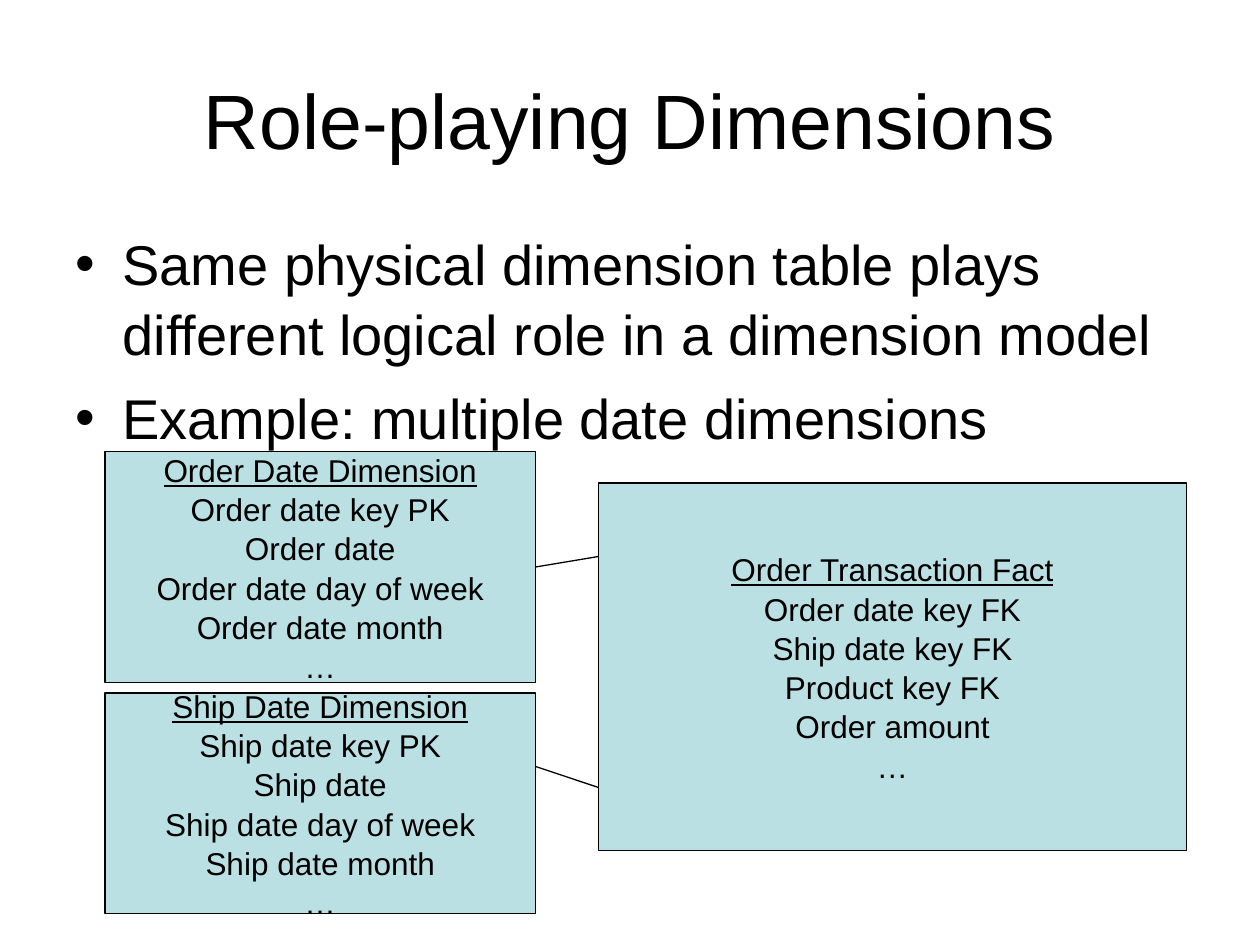
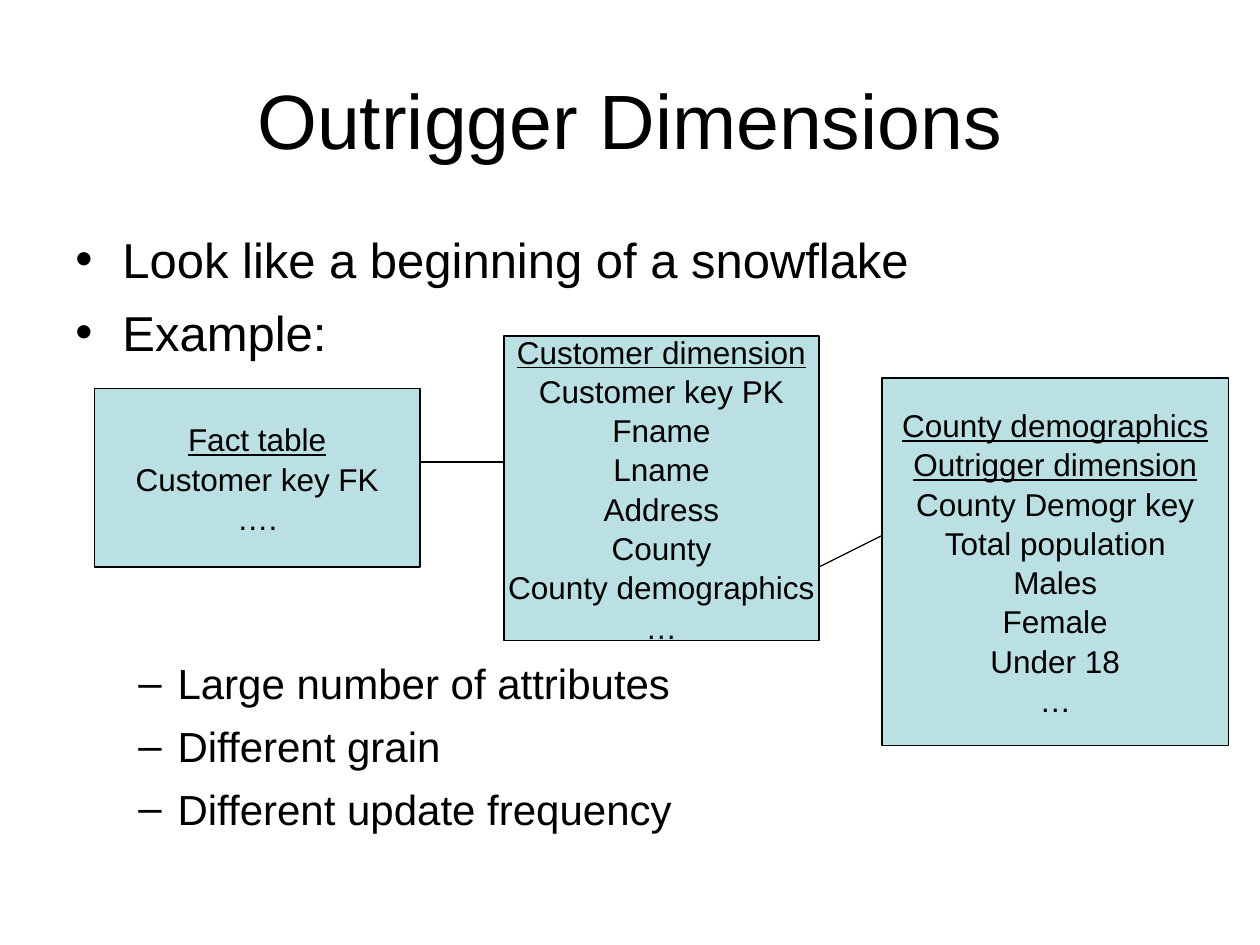
"""Build two slides on role-playing and outrigger dimensions."""
from lxml.etree import SubElement
from pptx import Presentation
from pptx.dml.color import RGBColor as Rgb
from pptx.enum.shapes import MSO_CONNECTOR as Connector, MSO_SHAPE as Shape
from pptx.enum.text import MSO_ANCHOR as Anchor, MSO_AUTO_SIZE as AutoSize, PP_ALIGN as Align
from pptx.oxml.ns import qn
from pptx.util import Cm, Pt

COLORS = {"text": "000000", "line": "000000", "entity": "BBE0E3"}
FONT = "Arial"
LINE_SPACING = 1.04
LINE_WIDTH = Pt(0.75)
TITLE_AREA = (Cm(1.27), Cm(0.76), Cm(22.86), Cm(3.18))
BODY_AREA = (Cm(1.27), Cm(4.45), Cm(22.86), Cm(12.57))
BULLETS = {0: ("•", Cm(0.95), Cm(-0.95)), 1: ("–", Cm(2.06), Cm(-0.79))}


def color(name):
    return Rgb.from_string(COLORS[name])


def grid(*steps):
    return [Cm(2.54 * step / 12) for step in steps]


def style_para(para, size, underline=False):
    para.line_spacing = LINE_SPACING
    for span in para.runs:
        span.font.name = FONT
        span.font.size = Pt(size)
        span.font.underline = underline
        span.font.color.rgb = color("text")


def add_page(deck, title):
    page = deck.slides.add_slide(deck.slide_layouts[5])
    box = page.shapes.title
    box.left, box.top, box.width, box.height = TITLE_AREA
    frame = box.text_frame
    frame.text = title
    frame.auto_size = AutoSize.NONE
    frame.vertical_anchor = Anchor.MIDDLE
    para = frame.paragraphs[0]
    para.alignment = Align.CENTER
    style_para(para, 44)
    return page


def add_bullets(page, items):
    frame = page.shapes.add_textbox(*BODY_AREA).text_frame
    frame.word_wrap = True
    for index, (text, level, size, space_before) in enumerate(items):
        para = frame.paragraphs[0] if index == 0 else frame.add_paragraph()
        para.text = text
        para.level = level
        para.space_before = Pt(space_before)
        style_para(para, size)
        mark, margin, indent = BULLETS[level]
        props = para._p.get_or_add_pPr()
        props.set("marL", str(margin))
        props.set("indent", str(indent))
        SubElement(props, qn("a:buFont")).set("typeface", FONT)
        SubElement(props, qn("a:buChar")).set("char", mark)


def add_entity(page, area, headings, fields):
    box = page.shapes.add_shape(Shape.RECTANGLE, *grid(*area))
    box.shadow.inherit = False
    box.fill.solid()
    box.fill.fore_color.rgb = color("entity")
    box.line.color.rgb = color("line")
    box.line.width = LINE_WIDTH
    frame = box.text_frame
    frame.word_wrap = False
    frame.vertical_anchor = Anchor.MIDDLE
    frame.text = "\n".join(headings + fields)
    for index, para in enumerate(frame.paragraphs):
        para.alignment = Align.CENTER
        style_para(para, 18, underline=index < len(headings))


def add_relation(page, *ends):
    link = page.shapes.add_connector(Connector.STRAIGHT, *grid(*ends))
    link.line.color.rgb = color("line")
    link.line.width = LINE_WIDTH
    SubElement(link._element.spPr, qn("a:effectLst"))


def add_role_playing(deck):
    page = add_page(deck, "Role-playing Dimensions")
    add_bullets(page, [
        ("Same physical dimension table plays different logical role in a dimension model", 0, 32, 8),
        ("Example: multiple date dimensions", 0, 32, 8),
    ])
    add_entity(page, (57, 46, 56, 35), ["Order Transaction Fact"],
               ["Order date key FK", "Ship date key FK", "Product key FK", "Order amount", "…"])
    for role, top, height in (("Order", 43, 22), ("Ship", 66, 21)):
        fields = [f"{role} date{suffix}" for suffix in (" key PK", "", " day of week", " month")]
        add_entity(page, (10, top, 41, height), [f"{role} Date Dimension"], fields + ["…"])
    add_relation(page, 51, 54, 57, 53)
    add_relation(page, 51, 73, 57, 75)


def add_outrigger(deck):
    page = add_page(deck, "Outrigger Dimensions")
    add_bullets(page, [
        ("Look like a beginning of a snowflake", 0, 28, 7),
        ("Example:", 0, 28, 7),
        ("Large number of attributes", 1, 24, 168),
        ("Different grain", 1, 24, 6),
        ("Different update frequency", 1, 24, 6),
    ])
    add_entity(page, (9, 37, 31, 17), ["Fact table"], ["Customer key FK", "…."])
    add_entity(page, (48, 32, 30, 29), ["Customer dimension"],
               ["Customer key PK", "Fname", "Lname", "Address", "County",
                "County demographics", "…"])
    add_entity(page, (84, 36, 33, 35), ["County demographics", "Outrigger dimension"],
               ["County Demogr key", "Total population", "Males", "Female", "Under 18", "…"])
    add_relation(page, 40, 44, 48, 44)
    add_relation(page, 78, 54, 84, 51)


def main():
    deck = Presentation()
    deck.slide_width, deck.slide_height = Cm(25.4), Cm(19.05)
    add_role_playing(deck)
    add_outrigger(deck)
    deck.save("out.pptx")


if __name__ == "__main__":
    main()
